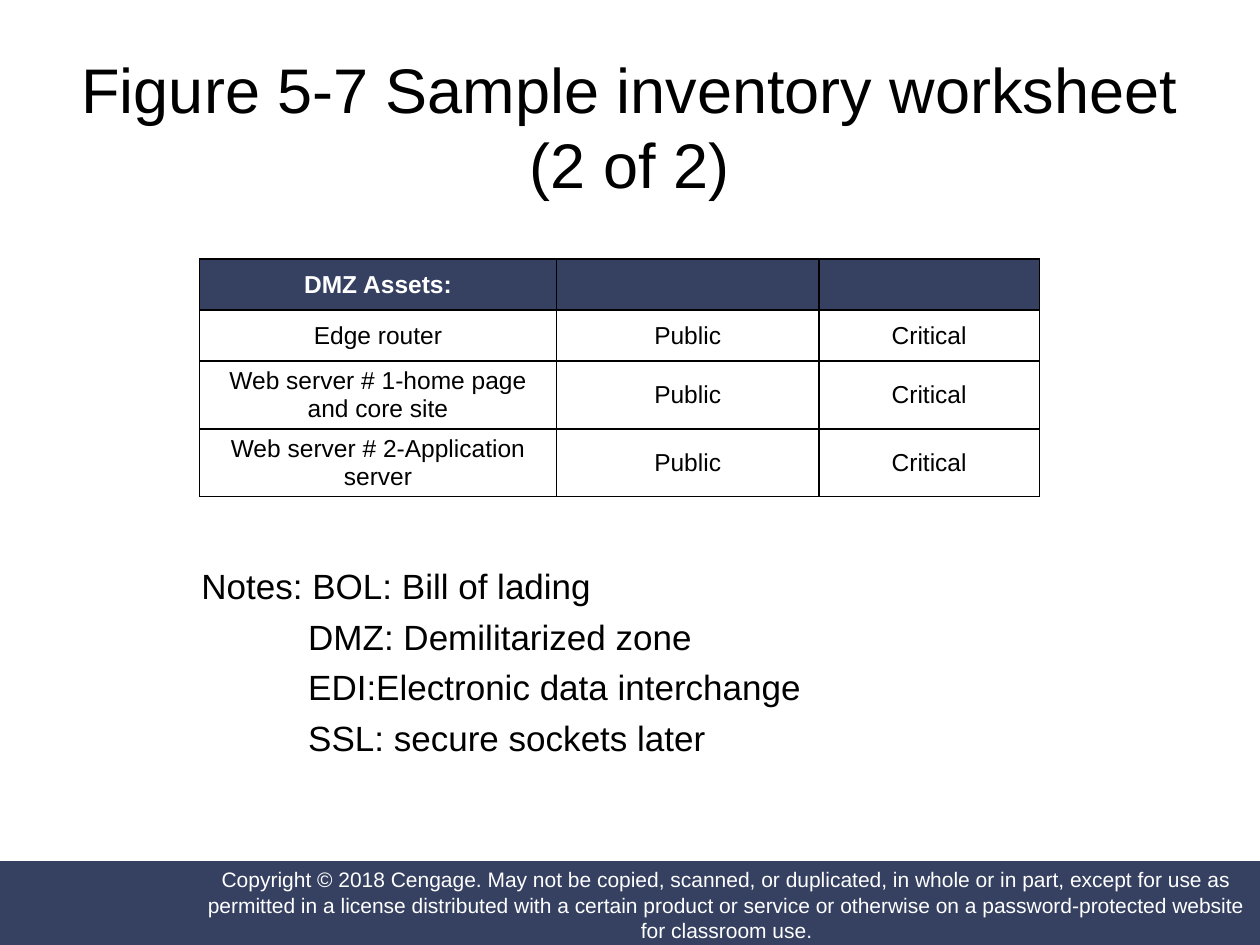
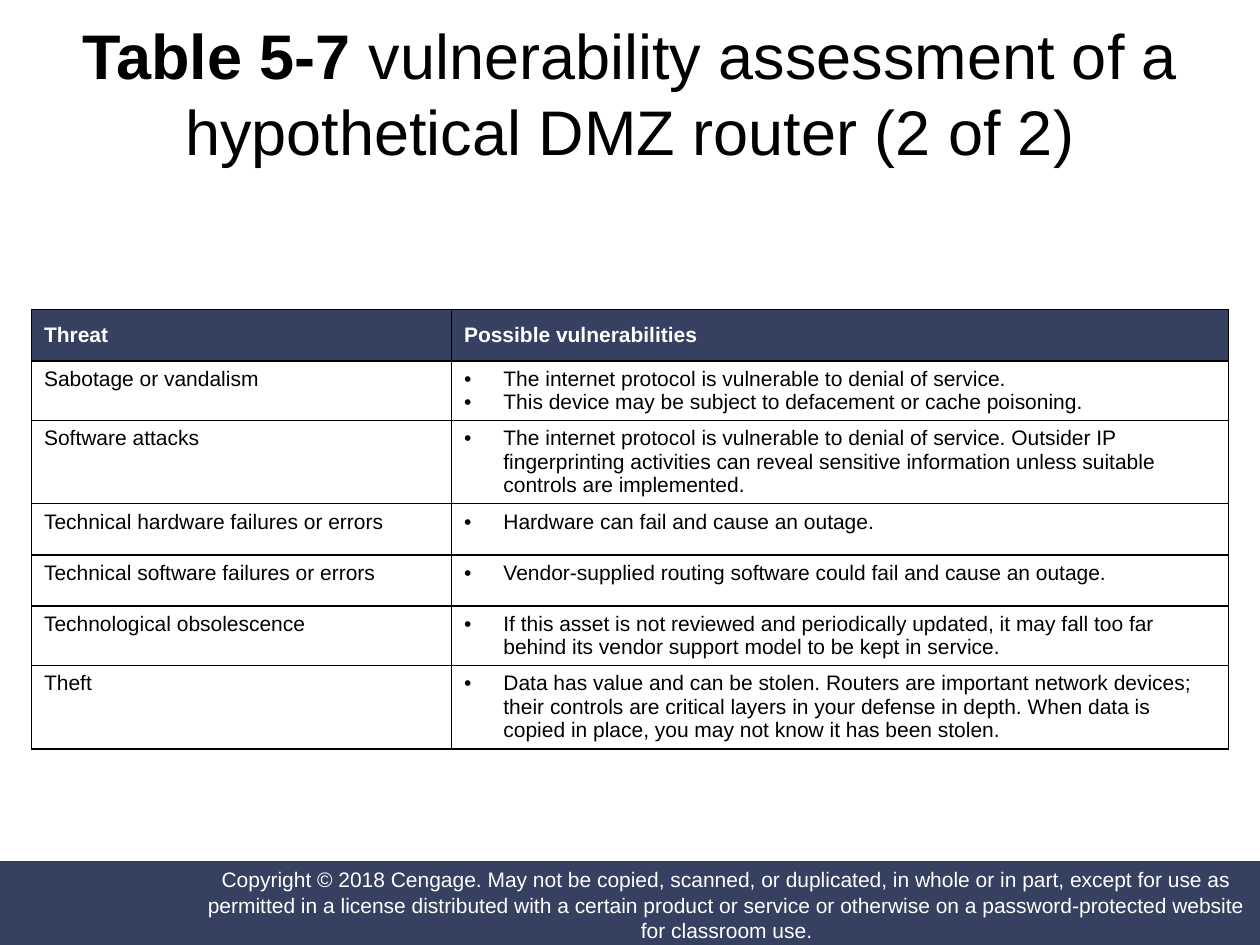
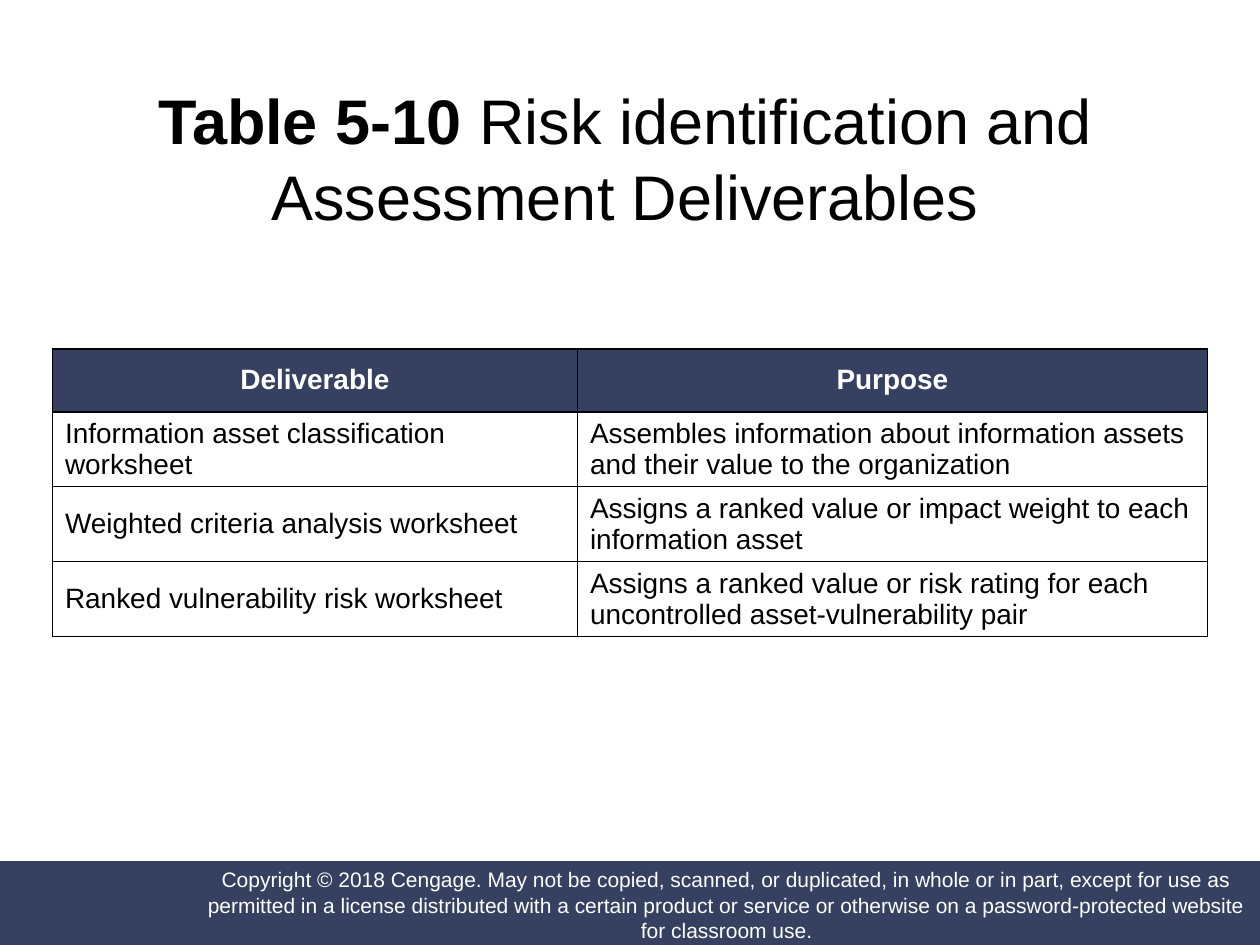
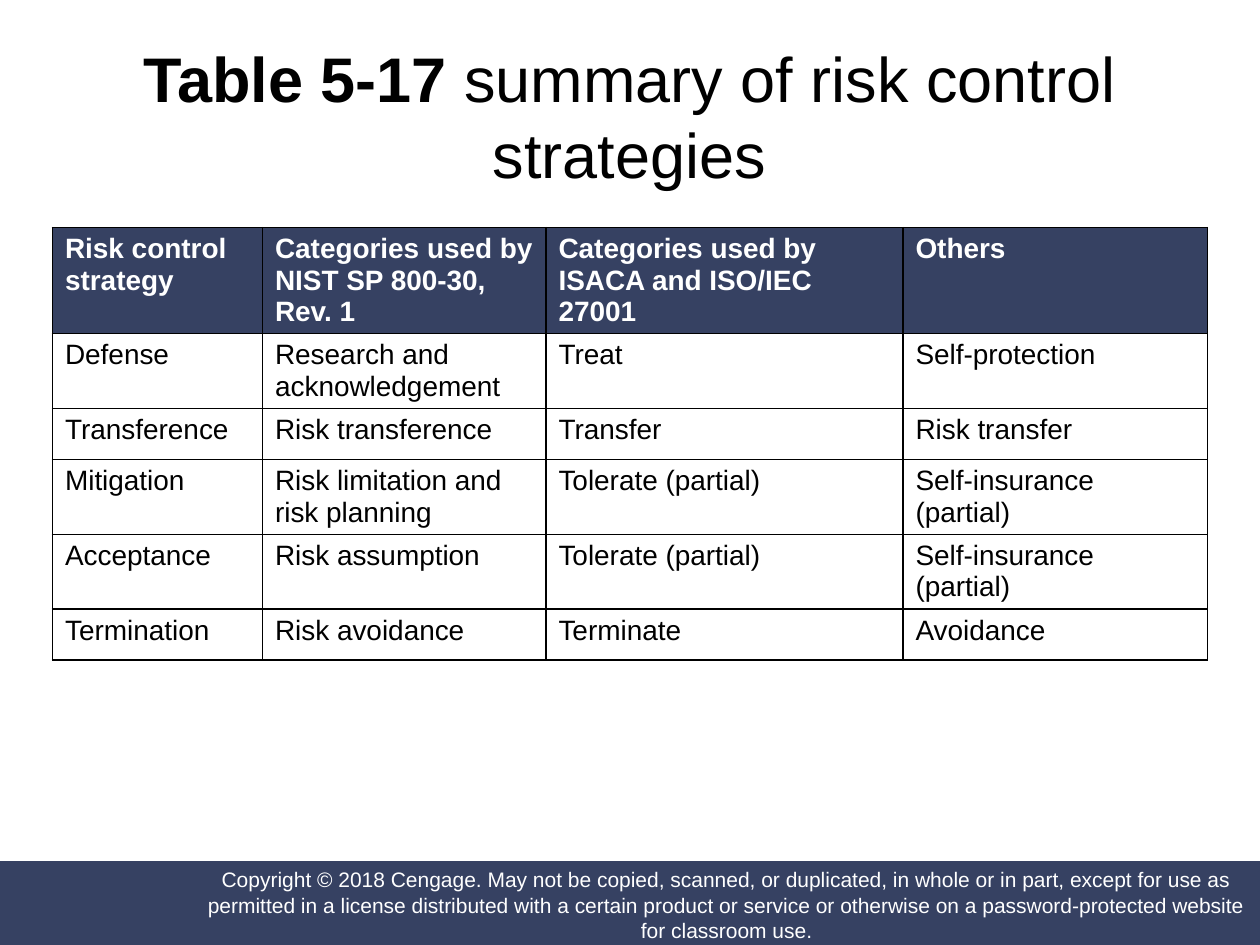
from lxml import etree
from pptx import Presentation
from pptx.dml.color import RGBColor
from pptx.enum.shapes import MSO_SHAPE
from pptx.enum.text import MSO_ANCHOR, MSO_AUTO_SIZE, PP_ALIGN
from pptx.oxml.ns import qn
from pptx.util import Pt

RECTANGLE = MSO_SHAPE.RECTANGLE
TOP, MIDDLE = MSO_ANCHOR.TOP, MSO_ANCHOR.MIDDLE
LEFT, CENTER = PP_ALIGN.LEFT, PP_ALIGN.CENTER
NO_AUTOFIT = MSO_AUTO_SIZE.NONE

NAVY = RGBColor(0x36, 0x41, 0x62)
WHITE = RGBColor(0xFF, 0xFF, 0xFF)
BLACK = RGBColor(0x00, 0x00, 0x00)
FONT = "Arial"
SLIDE_WIDTH, SLIDE_HEIGHT = 720, 540
BAND_HEIGHT = 48
ROW_HEIGHT = 29.2
TITLE_ONLY = 5

COPYRIGHT = (
    "Copyright © 2018 Cengage. May not be copied, scanned, or duplicated, in whole or in part, "
    "except for use as permitted in a license distributed with a certain product or service or "
    "otherwise on a password-protected website for classroom use."
)

INVENTORY = [
    ["DMZ Assets:", "", ""],
    ["Edge router", "Public", "Critical"],
    ["Web server # 1-home page and core site", "Public", "Critical"],
    ["Web server # 2-Application server", "Public", "Critical"],
]

NOTES = [
    "Notes: BOL: Bill of lading",
    "DMZ: Demilitarized zone",
    "EDI:Electronic data interchange",
    "SSL: secure sockets later",
]

VULNERABILITIES = [
    ["Threat", "Possible vulnerabilities"],
    ["Sabotage or vandalism", [
        "The internet protocol is vulnerable to denial of service.",
        "This device may be subject to defacement or cache poisoning."]],
    ["Software attacks", [
        "The internet protocol is vulnerable to denial of service. Outsider IP fingerprinting "
        "activities can reveal sensitive information unless suitable controls are implemented."]],
    ["Technical hardware failures or errors", ["Hardware can fail and cause an outage."]],
    ["Technical software failures or errors", [
        "Vendor-supplied routing software could fail and cause an outage."]],
    ["Technological obsolescence", [
        "If this asset is not reviewed and periodically updated, it may fall too far behind its "
        "vendor support model to be kept in service."]],
    ["Theft", [
        "Data has value and can be stolen. Routers are important network devices; their controls "
        "are critical layers in your defense in depth. When data is copied in place, you may not "
        "know it has been stolen."]],
]

DELIVERABLES = [
    ["Deliverable", "Purpose"],
    ["Information asset classification worksheet",
     "Assembles information about information assets and their value to the organization"],
    ["Weighted criteria analysis worksheet",
     "Assigns a ranked value or impact weight to each information asset"],
    ["Ranked vulnerability risk worksheet",
     "Assigns a ranked value or risk rating for each uncontrolled asset-vulnerability pair"],
]

STRATEGIES = [
    ["Risk control strategy", "Categories used by NIST SP 800-30, Rev. 1",
     "Categories used by ISACA and ISO/IEC 27001", "Others"],
    ["Defense", "Research and acknowledgement", "Treat", "Self-protection"],
    ["Transference", "Risk transference", "Transfer", "Risk transfer"],
    ["Mitigation", "Risk limitation and risk planning", "Tolerate (partial)",
     "Self-insurance (partial)"],
    ["Acceptance", "Risk assumption", "Tolerate (partial)", "Self-insurance (partial)"],
    ["Termination", "Risk avoidance", "Terminate", "Avoidance"],
]


def points(box):
    return [Pt(length) for length in box]


def set_font(paragraph, size, color, bold=None):
    font = paragraph.font
    font.name, font.size, font.bold = FONT, Pt(size), bold
    font.color.rgb = color


def add_band(slide, box):
    band = slide.shapes.add_shape(RECTANGLE, *points(box))
    band.shadow.inherit = False
    band.fill.solid()
    band.fill.fore_color.rgb = NAVY
    band.line.fill.background()
    return band


def add_master_footer(presentation, slide):
    top = SLIDE_HEIGHT - BAND_HEIGHT
    band = add_band(slide, (0, top, SLIDE_WIDTH, BAND_HEIGHT))
    notice = add_band(slide, (116.5, top + 2, 597.5, BAND_HEIGHT - 2))
    frame = notice.text_frame
    frame.word_wrap = True
    frame.vertical_anchor = MIDDLE
    frame.margin_left = frame.margin_right = frame.margin_top = frame.margin_bottom = 0
    paragraph = frame.paragraphs[0]
    paragraph.text = COPYRIGHT
    paragraph.alignment = CENTER
    set_font(paragraph, 12, WHITE)
    master_shapes = presentation.slide_master.shapes
    for shape in (band, notice):
        next_id = max(item.shape_id for item in master_shapes) + 1
        shape.element.nvSpPr.cNvPr.set("id", str(next_id))
        master_shapes.element.append(shape.element)


def add_titled_slide(presentation, box, label, text, anchor=MIDDLE):
    slide = presentation.slides.add_slide(presentation.slide_layouts[TITLE_ONLY])
    title = slide.shapes.title
    title.left, title.top, title.width, title.height = points(box)
    frame = title.text_frame
    frame.word_wrap = True
    frame.auto_size = NO_AUTOFIT
    frame.vertical_anchor = anchor
    paragraph = frame.paragraphs[0]
    paragraph.text = text
    paragraph.alignment = CENTER
    if label:
        paragraph.text = ""
        for words, bold in ((label + " ", True), (text, False)):
            run = paragraph.add_run()
            run.text = words
            run.font.bold = bold
    set_font(paragraph, 36, BLACK)
    return slide


def add_bullet(paragraph, indent):
    properties = paragraph._p.get_or_add_pPr()
    properties.set("marL", str(Pt(indent)))
    properties.set("indent", str(-Pt(indent)))
    etree.SubElement(properties, qn("a:buFont"), typeface=FONT)
    etree.SubElement(properties, qn("a:buChar"), char="•")


def add_borders(cell):
    properties = cell._tc.get_or_add_tcPr()
    for side in ("a:lnL", "a:lnR", "a:lnT", "a:lnB"):
        line = etree.SubElement(properties, qn(side), w=str(Pt(1)))
        fill = etree.SubElement(line, qn("a:solidFill"))
        etree.SubElement(fill, qn("a:srgbClr"), val=str(BLACK))


def fill_cell(cell, content, size, is_header, alignment, anchor, side_margin):
    add_borders(cell)
    if is_header:
        cell.fill.solid()
        cell.fill.fore_color.rgb = NAVY
    else:
        cell.fill.background()
    cell.vertical_anchor = anchor
    cell.margin_left = cell.margin_right = Pt(side_margin)
    is_list = isinstance(content, list)
    cell.text = "\n".join(content) if is_list else content
    for paragraph in cell.text_frame.paragraphs:
        paragraph.alignment = alignment
        if is_list:
            add_bullet(paragraph, 22.5)
        set_font(paragraph, size, WHITE if is_header else BLACK, is_header)


def add_grid(slide, box, rows, widths, size, header_height=ROW_HEIGHT, header_alignment=LEFT,
             alignment=LEFT, header_anchor=MIDDLE, anchor=MIDDLE, side_margin=7.2):
    frame = slide.shapes.add_table(len(rows), len(widths), *points(box))
    table = frame.table
    table.first_row = table.horz_banding = False
    for column, width in zip(table.columns, widths):
        column.width = Pt(width)
    for row_index, (row, contents) in enumerate(zip(table.rows, rows)):
        is_header = row_index == 0
        row.height = Pt(header_height if is_header else ROW_HEIGHT)
        for cell, content in zip(row.cells, contents):
            fill_cell(cell, content, size, is_header,
                      header_alignment if is_header else alignment,
                      header_anchor if is_header else anchor, side_margin)
    frame.height = Pt(box[3])


def add_notes_list(slide, box, lines):
    frame = slide.shapes.add_textbox(*points(box)).text_frame
    frame.word_wrap = True
    frame.text = "\n".join(lines)
    for index, paragraph in enumerate(frame.paragraphs):
        if index:
            paragraph.space_before = Pt(5)
            paragraph._p.get_or_add_pPr().set("marL", str(Pt(61)))
        set_font(paragraph, 20, BLACK)


def add_inventory_slide(presentation):
    slide = add_titled_slide(presentation, (32.5, 30, 654.5, 84), "",
                             "Figure 5-7 Sample inventory worksheet\v(2 of 2)")
    add_grid(slide, (114, 148, 480, 139.5), INVENTORY, (204, 150, 126), 14,
             header_alignment=CENTER, alignment=CENTER, side_margin=9.4)
    add_notes_list(slide, (108, 319, 516, 119), NOTES)
    return slide


def add_vulnerability_slide(presentation):
    slide = add_titled_slide(presentation, (0, 6, 720, 90), "Table 5-7",
                             "vulnerability assessment of a hypothetical DMZ router (2 of 2)", TOP)
    add_grid(slide, (18, 177, 684, 260.5), VULNERABILITIES, (240, 444), 12, anchor=TOP)


def add_deliverables_slide(presentation):
    slide = add_titled_slide(presentation, (30, 42, 654.5, 96), "Table 5-10",
                             "Risk identification and Assessment Deliverables")
    add_grid(slide, (30, 199.3, 660, 173), DELIVERABLES, (300, 360), 16,
             header_height=36, header_alignment=CENTER)


def add_strategies_slide(presentation):
    slide = add_titled_slide(presentation, (32.5, 18, 654.5, 96), "Table 5-17",
                             "summary of risk control strategies")
    add_grid(slide, (30, 130, 660, 260), STRATEGIES, (120, 162, 204, 174), 16,
             header_height=11.5, header_anchor=TOP, anchor=TOP)


def main():
    presentation = Presentation()
    presentation.slide_width, presentation.slide_height = Pt(SLIDE_WIDTH), Pt(SLIDE_HEIGHT)
    first_slide = add_inventory_slide(presentation)
    add_master_footer(presentation, first_slide)
    add_vulnerability_slide(presentation)
    add_deliverables_slide(presentation)
    add_strategies_slide(presentation)
    presentation.save("out.pptx")


if __name__ == "__main__":
    main()
